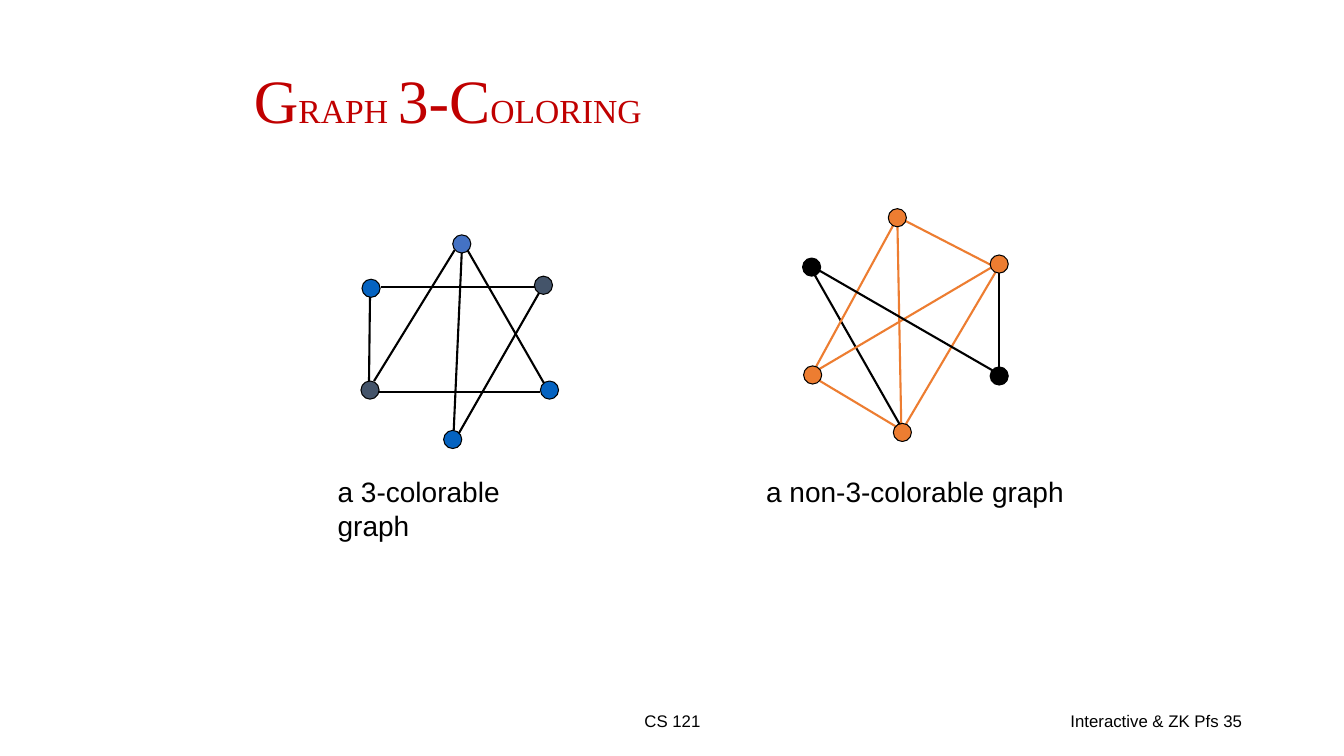
from lxml import etree
from pptx import Presentation
from pptx.dml.color import RGBColor
from pptx.enum.shapes import MSO_CONNECTOR, MSO_SHAPE
from pptx.enum.text import MSO_ANCHOR, PP_ALIGN
from pptx.oxml.ns import qn
from pptx.util import Emu, Pt

STRAIGHT = MSO_CONNECTOR.STRAIGHT
ELLIPSE = MSO_SHAPE.OVAL
TOP, MIDDLE = MSO_ANCHOR.TOP, MSO_ANCHOR.MIDDLE
LEFT, CENTER, RIGHT = PP_ALIGN.LEFT, PP_ALIGN.CENTER, PP_ALIGN.RIGHT

EMU_PER_PX = 9144  # 100 px to the inch
NODE_SIZE = 18
BLACK, RED, ORANGE = "000000", "C00000", "ED7D31"
BLUE, SLATE, LIGHT_BLUE = "0563C1", "44546A", "4472C4"

# Edges: x1, y1, x2, y2; nodes: left, top, fill
COLORABLE_EDGES = [
    (451, 248, 371, 378), (378, 285, 531, 285), (450, 427, 458, 250),
    (367, 294, 366, 378), (374, 389, 536, 389), (535, 290, 455, 430),
    (463, 247, 540, 381),
]
COLORABLE_NODES = [
    (359, 277, BLUE), (530, 274, SLATE), (358, 378, SLATE),
    (536, 378, BLUE), (440, 427, BLUE), (449, 233, LIGHT_BLUE),
]
BACK_EDGES = [(991, 372, 991, 260), (803, 264, 898, 431)]
CLIQUE_EDGES = [
    (890, 218, 894, 427), (890, 216, 806, 370), (890, 215, 987, 265),
    (806, 370, 989, 262), (991, 264, 893, 430), (805, 373, 895, 427),
]
FRONT_EDGES = [(805, 264, 994, 373)]
NON_COLORABLE_NODES = [
    (796, 256, BLACK), (982, 364, BLACK), (881, 207, ORANGE),
    (797, 363, ORANGE), (982, 253, ORANGE), (886, 420, ORANGE),
]


def px(n):
    return Emu(n * EMU_PER_PX)


def rgb(color):
    return RGBColor.from_string(color)


def add_text(s, box, runs, font="Arial", color=BLACK, align=LEFT, anchor=TOP):
    """Add one paragraph made of (text, size) runs."""
    tf = s.shapes.add_textbox(*map(px, box)).text_frame
    tf.word_wrap = True
    tf.vertical_anchor = anchor
    p = tf.paragraphs[0]
    p.alignment = align
    p.font.name = font
    p.font.color.rgb = rgb(color)
    for text, size in runs:
        r = p.add_run()
        r.text = text
        r.font.size = Pt(size)
    return p


def add_edges(s, edges, color):
    for edge in edges:
        line = s.shapes.add_connector(STRAIGHT, *map(px, edge))
        line.line.color.rgb = rgb(color)
        line.line.width = Pt(1.5)
        etree.SubElement(line._element.spPr, qn("a:effectLst"))


def add_nodes(s, nodes):
    for left, top, color in nodes:
        sp = s.shapes.add_shape(ELLIPSE, px(left), px(top),
                                px(NODE_SIZE), px(NODE_SIZE))
        sp.shadow.inherit = False
        sp.fill.solid()
        sp.fill.fore_color.rgb = rgb(color)
        sp.line.color.rgb = rgb(BLACK)
        sp.line.width = Pt(0.75)


def main():
    prs = Presentation()
    prs.slide_width, prs.slide_height = px(1333), px(750)
    s = prs.slides.add_slide(prs.slide_layouts[6])

    # Title in mixed sizes, like small capitals
    title = [("G", 44), ("RAPH", 24), (" ", 28), ("3-C", 44), ("OLORING", 24)]
    p = add_text(s, (242, 40, 850, 125), title, "Times New Roman", RED,
                 anchor=MIDDLE)
    p.line_spacing = 0.9

    # Colorable graph
    add_edges(s, COLORABLE_EDGES, BLACK)
    add_nodes(s, COLORABLE_NODES)
    add_text(s, (325, 466, 245, 77), [("a 3-colorable graph", 20)])

    # Non-colorable graph, with its clique in orange
    add_edges(s, BACK_EDGES, BLACK)
    add_edges(s, CLIQUE_EDGES, ORANGE)
    add_edges(s, FRONT_EDGES, BLACK)
    add_nodes(s, NON_COLORABLE_NODES)
    add_text(s, (750, 466, 328, 43), [("a non-3-colorable graph", 20)])

    # Footer
    add_text(s, (442, 695, 450, 40), [("CS 121", 12)],
             align=CENTER, anchor=MIDDLE)
    add_text(s, (942, 695, 300, 40), [("Interactive & ZK Pfs 35", 12)],
             align=RIGHT, anchor=MIDDLE)

    prs.save("out.pptx")


if __name__ == "__main__":
    main()
